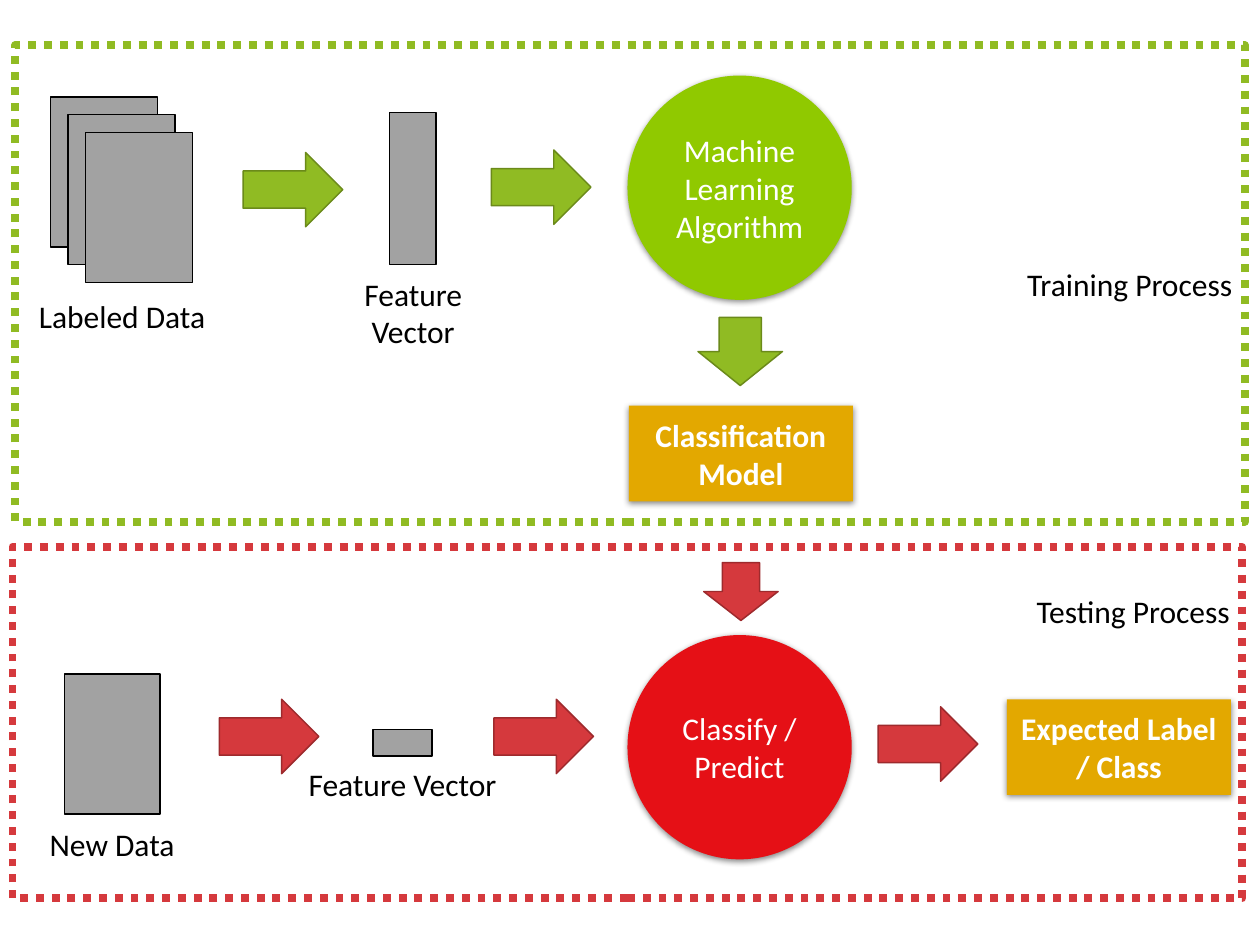
from lxml.etree import SubElement
from pptx import Presentation
from pptx.dml.color import RGBColor
from pptx.enum.dml import MSO_LINE
from pptx.enum.shapes import MSO_SHAPE
from pptx.enum.text import MSO_ANCHOR, PP_ALIGN
from pptx.oxml.ns import qn
from pptx.util import Inches, Pt

BLACK = RGBColor(0x00, 0x00, 0x00)
WHITE = RGBColor(0xFF, 0xFF, 0xFF)
GRAY = RGBColor(0xA2, 0xA2, 0xA2)
GOLD = RGBColor(0xE3, 0xA8, 0x00)
LIME = RGBColor(0x90, 0xC9, 0x00)
GREEN = RGBColor(0x90, 0xBB, 0x23)
MOSS = RGBColor(0x6B, 0x8A, 0x1A)
RED = RGBColor(0xE5, 0x10, 0x16)
ROSE = RGBColor(0xD5, 0x39, 0x3D)
WINE = RGBColor(0x9E, 0x2A, 0x2D)

FONT = {"name": "Calibri", "size": Pt(18)}
RIGHT, DOWN = MSO_SHAPE.RIGHT_ARROW, MSO_SHAPE.DOWN_ARROW
OVAL, RECT = MSO_SHAPE.OVAL, MSO_SHAPE.RECTANGLE


def apply(item, form):
    for key, value in form.items():
        setattr(item, key, value)


def write(shape, text, color, align=PP_ALIGN.CENTER, bold=False, **form):
    frame = shape.text_frame
    apply(frame, {"word_wrap": True, **form})
    para = frame.paragraphs[0]
    para.alignment = align
    run = para.add_run()
    run.text = text
    apply(run.font, {**FONT, "bold": bold})
    run.font.color.rgb = color


def add_form(shapes, kind, box, fill, edge=None, width=0.75):
    shape = shapes.add_shape(kind, *map(Inches, box))
    shape.shadow.inherit = False
    shape.fill.solid()
    shape.fill.fore_color.rgb = fill
    if edge is None:
        shape.line.fill.background()
    else:
        shape.line.color.rgb = edge
        shape.line.width = Pt(width)
    return shape


def add_frame(shapes, box, color, text, **form):
    frame = add_form(shapes, RECT, box, WHITE, color, 4.5)
    frame.line.dash_style = MSO_LINE.ROUND_DOT
    write(frame, text, BLACK, PP_ALIGN.RIGHT, **form)


def add_step(shapes, kind, left, top, high, fill, text):
    step = add_form(shapes, kind, (left, top, 1.78, high), fill)
    bold = kind == RECT
    write(step, text, WHITE, bold=bold, vertical_anchor=MSO_ANCHOR.MIDDLE)
    glow = step._element.spPr.find(qn("a:effectLst"))
    shade = SubElement(glow, qn("a:outerShdw"), blurRad=str(Pt(3.5)),
                       dist=str(Pt(1.1)), dir="5400000", rotWithShape="0")
    tint = SubElement(shade, qn("a:srgbClr"), val=str(BLACK))
    SubElement(tint, qn("a:alpha"), val="45000")


def add_data(shapes, sheets, box, text, wrap=True):
    group = shapes.add_group_shape().shapes
    for sheet in sheets:
        add_form(group, RECT, sheet, GRAY, BLACK)
    label = group.add_textbox(*map(Inches, box))
    write(label, text, BLACK, word_wrap=wrap)


def add_arrow(shapes, kind, box, fill, edge, turn=0):
    arrow = add_form(shapes, kind, box, fill, edge, 0.85)
    arrow.rotation = turn


def main():
    deck = Presentation()
    apply(deck, {"slide_width": Inches(10), "slide_height": Inches(7.5)})
    shapes = deck.slides.add_slide(deck.slide_layouts[6]).shapes

    add_frame(shapes, (0.1, 4.34, 9.76, 2.79), ROSE, "Testing Process",
              vertical_anchor=MSO_ANCHOR.TOP, margin_top=Inches(0.36))
    add_frame(shapes, (0.12, 0.36, 9.76, 3.78), GREEN, "Training Process",
              vertical_anchor=MSO_ANCHOR.MIDDLE)

    stack = [(0.4 + 0.14 * i, 0.77 + 0.14 * i, 0.85, 1.19) for i in range(3)]
    add_data(shapes, stack, (0.2, 2.31, 1.54, 0.34), "Labeled Data")
    add_data(shapes, [(3.09, 0.89, 0.37, 1.21)], (2.61, 2.13, 1.34, 0.28),
             "Feature Vector")
    add_data(shapes, [(0.51, 5.35, 0.76, 1.11)], (0.2, 6.5, 1.38, 0.32),
             "New Data")
    add_data(shapes, [(2.96, 5.79, 0.47, 0.21)], (2.34, 6.02, 1.71, 0.4),
             "Feature Vector", wrap=False)

    for step in (
        (OVAL, 4.98, 0.6, 1.78, LIME, "Machine Learning Algorithm"),
        (RECT, 4.99, 3.22, 0.76, GOLD, "Classification Model"),
        (OVAL, 4.98, 5.04, 1.78, RED, "Classify / Predict"),
        (RECT, 7.99, 5.55, 0.76, GOLD, "Expected Label / Class"),
    ):
        add_step(shapes, *step)

    for left, top, fill, edge in (
        (1.93, 1.21, GREEN, MOSS),
        (3.9, 1.19, GREEN, MOSS),
        (1.74, 5.55, ROSE, WINE),
        (3.92, 5.55, ROSE, WINE),
        (6.97, 5.61, ROSE, WINE),
    ):
        add_arrow(shapes, RIGHT, (left, top, 0.79, 0.59), fill, edge)
    add_arrow(shapes, DOWN, (5.54, 2.52, 0.67, 0.54), GREEN, MOSS)
    add_arrow(shapes, RIGHT, (5.65, 4.4, 0.46, 0.59), ROSE, WINE, 90)

    deck.save("out.pptx")


if __name__ == "__main__":
    main()
